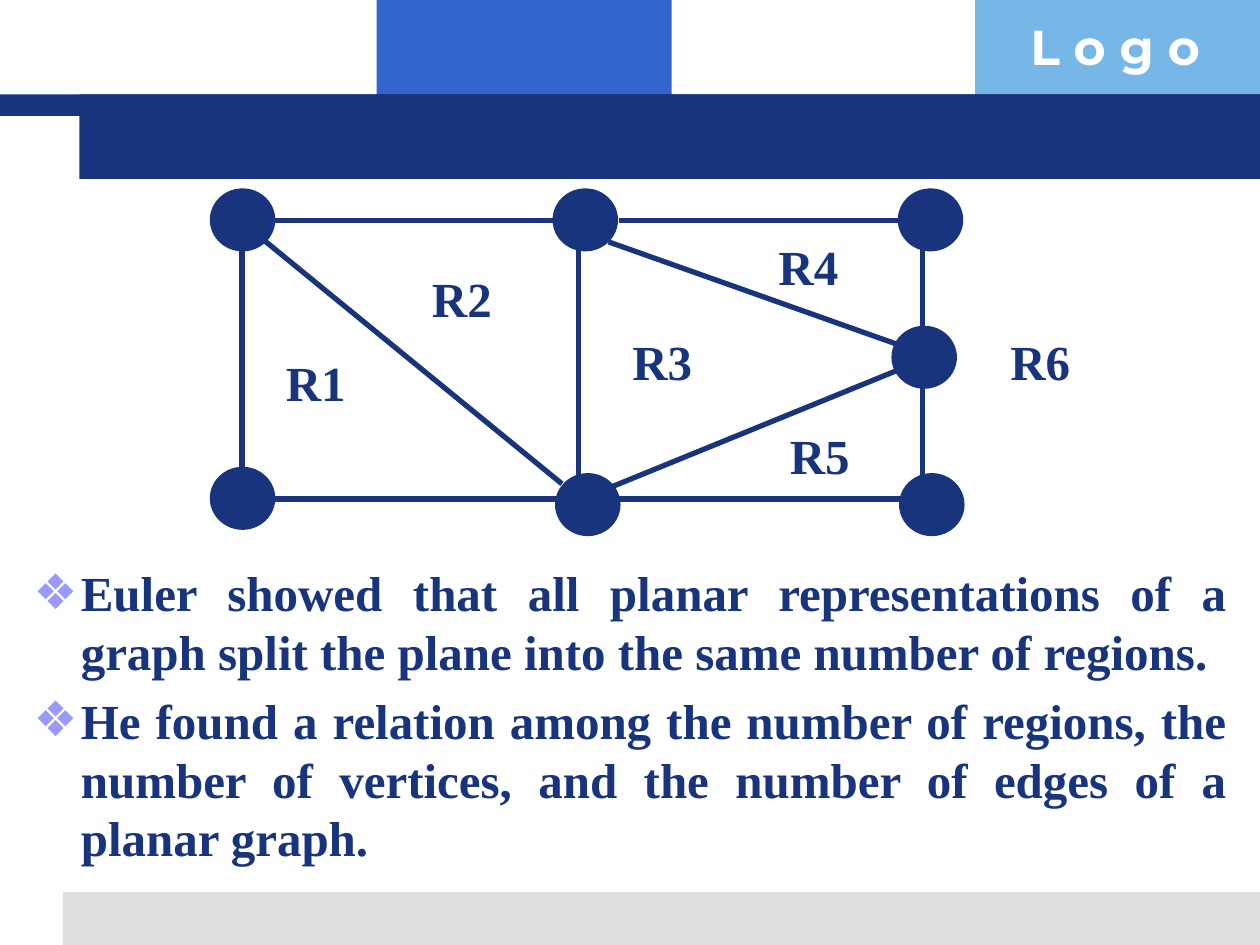
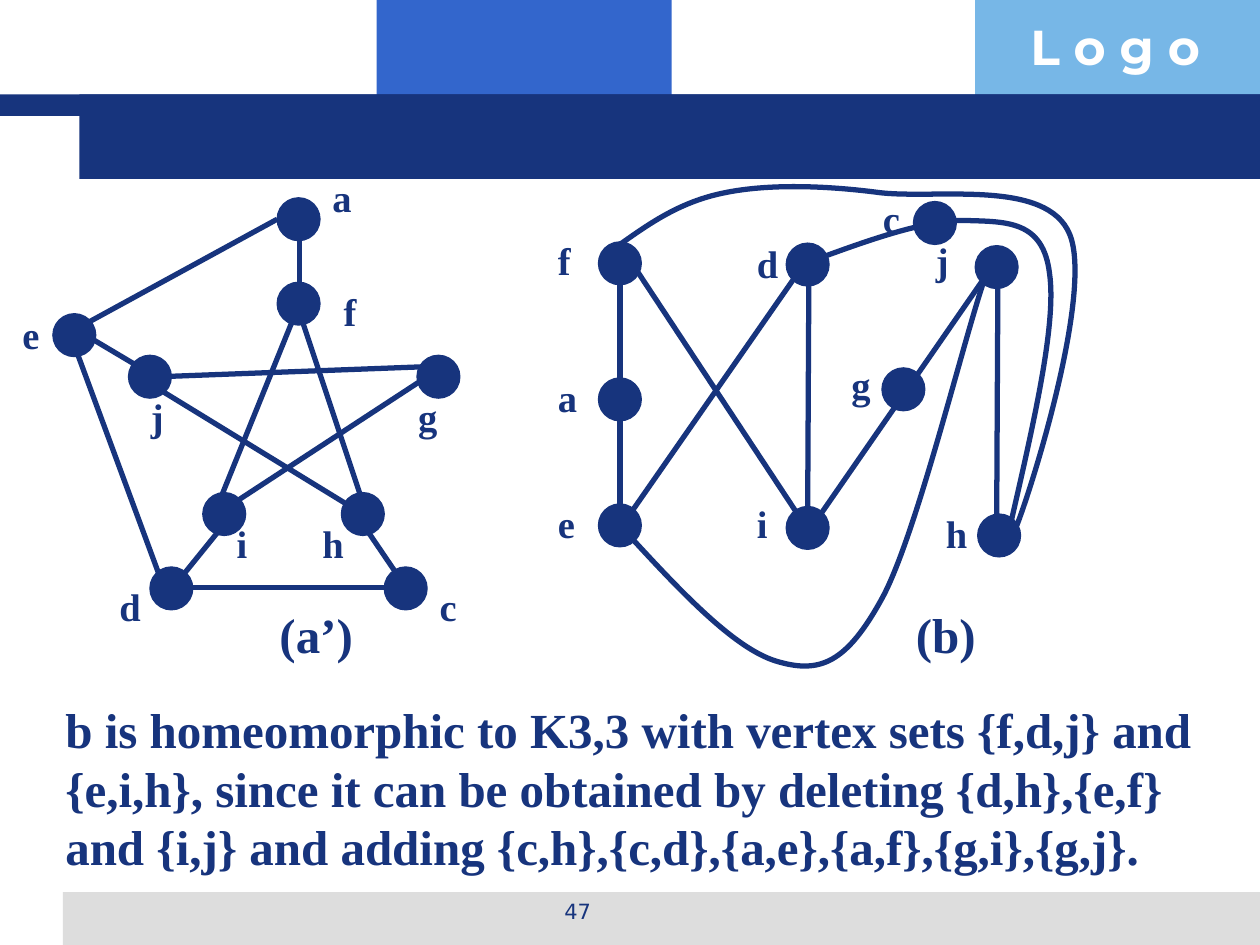
from lxml.etree import SubElement
from pptx import Presentation
from pptx.dml.color import RGBColor
from pptx.enum.shapes import MSO_CONNECTOR as Link, MSO_SHAPE as Preset
from pptx.enum.text import MSO_AUTO_SIZE as Fit, PP_ALIGN as Align
from pptx.oxml.ns import qn
from pptx.util import Pt

PX = 9144
COLORS = {"navy": "17347D", "blue": "3366CC", "sky": "77B7E7",
          "grey": "DDDDDD", "white": "FFFFFF", "bullet": "9999FF"}
SERIF = "Times New Roman"
FORMATS = {
    "text": {"name": SERIF, "size": Pt(28), "bold": True},
    "vertex": {"name": SERIF, "size": Pt(22), "bold": True},
    "logo": {"name": "Montserrat", "size": Pt(28), "bold": True},
    "number": {"name": "DejaVu Sans", "size": Pt(12), "bold": False},
}
BANDS = [
    ("blue", 299, 0, 234, 92), ("sky", 774, 0, 226, 92),
    ("grey", 50, 708, 950, 42),
    ("navy", 0, 75, 1000, 17), ("navy", 63, 75, 937, 67),
]

EULER_POINTS = [
    "Euler showed that all planar representations of a graph split the plane "
    "into the same number of regions.",
    "He found a relation among the number of regions, the number of vertices, "
    "and the number of edges of a planar graph.",
]
EULER_BOX = (16.67, 441.67, 966.67, 275)
EULER_INDENT = 37.5
REGION_GRAPH = {
    "node_size": (51, 49),
    "nodes": [(167, 150), (167, 371), (439, 150), (441, 376),
              (713, 150), (714, 376), (708, 259)],
    "edges": [
        (205, 187, 446, 384), (218, 175, 446, 175), (218, 396, 446, 396),
        (192, 199, 192, 371), (459, 187, 459, 384), (491, 175, 720, 175),
        (491, 396, 720, 396), (732, 187, 732, 384), (483, 192, 717, 275),
        (484, 387, 717, 292),
    ],
    "curves": [],
    "label_style": ("text", 99, 57),
    "labels": [("R1", 217, 275), ("R2", 333, 208), ("R3", 492, 258),
               ("R4", 608, 183), ("R5", 617, 333), ("R6", 792, 258)],
}

PETERSEN_GRAPH = {
    "node_size": (34, 34),
    "nodes": [(42, 249), (102, 282), (220, 224), (119, 450), (220, 157),
              (271, 391), (305, 450), (331, 282), (161, 391)],
    "edges": [
        (170, 408, 238, 240), (59, 274, 127, 458), (144, 466, 314, 466),
        (127, 299, 339, 291), (186, 399, 339, 299), (288, 408, 110, 299),
        (68, 257, 220, 174), (288, 399, 238, 249), (238, 232, 238, 182),
        (144, 458, 178, 416), (322, 466, 288, 416), (110, 291, 68, 266),
    ],
    "curves": [],
    "label_style": ("vertex", 43, 47),
    "labels": [("a", 254, 133), ("e", 8, 242), ("i", 178, 408),
               ("g", 322, 307), ("c", 339, 458), ("h", 246, 408),
               ("j", 110, 307), ("f", 263, 224), ("d", 85, 458)],
}
BIPARTITE_GRAPH = {
    "node_size": (34, 34),
    "nodes": [(475, 300), (475, 192), (475, 400), (624, 193), (624, 402),
              (774, 195), (776, 408), (725, 160), (700, 292)],
    "edges": [
        (492, 300, 492, 217), (492, 408, 492, 325), (641, 410, 642, 217),
        (633, 408, 501, 208), (500, 408, 633, 217), (650, 410, 783, 218),
        (791, 418, 792, 225),
    ],
    "curves": [
        [(492, 194), (516, 177), (540, 160), (575, 153), (609, 146),
         (654, 147), (699, 153), (745, 158), (831, 142), (849, 186),
         (867, 230), (822, 378), (807, 417)],
        [(492, 417), (537, 466), (582, 515), (617, 525), (651, 535),
         (672, 526), (700, 475), (728, 424), (767, 260), (783, 217)],
        [(642, 208), (688, 191), (735, 174), (767, 175), (799, 176),
         (828, 175), (833, 217), (839, 258), (819, 342), (800, 425)],
    ],
    "label_style": ("vertex", 43, 47),
    "labels": [("a", 433, 292), ("f", 433, 183), ("e", 433, 392),
               ("i", 591, 392), ("d", 591, 186), ("j", 733, 183),
               ("h", 741, 400), ("c", 691, 150), ("g", 666, 282)],
}
CAPTIONS = [("(a’)", 212, 475), ("(b)", 717, 475)]
PROOF = ("b is homeomorphic to K3,3 with vertex sets {f,d,j} and {e,i,h}, since "
         "it can be obtained by deleting {d,h},{e,f} and {i,j} and adding "
         "{c,h},{c,d},{a,e},{a,f},{g,i},{g,j}.")


def emu(*lengths):
    return [round(length * PX) for length in lengths]


def color(name):
    return RGBColor.from_string(COLORS[name])


def write(para, text, style, ink="navy"):
    span = para.add_run()
    span.text = text
    for key, value in FORMATS[style].items():
        setattr(span.font, key, value)
    span.font.color.rgb = color(ink)


def add_text(page, text, place, style="text", ink="navy", align=Align.LEFT):
    frame = page.shapes.add_textbox(*emu(*place)).text_frame
    for key, value in {"word_wrap": True, "auto_size": Fit.SHAPE_TO_FIT_TEXT}.items():
        setattr(frame, key, value)
    para = frame.paragraphs[0]
    para.alignment = align
    write(para, text, style, ink)


def add_solid(page, preset, place, ink, outline=None):
    shape = page.shapes.add_shape(preset, *emu(*place))
    shape.shadow.inherit = False
    shape.fill.solid()
    shape.fill.fore_color.rgb = color(ink)
    if outline:
        shape.line.color.rgb = color(ink)
        shape.line.width = Pt(outline)
    else:
        shape.line.fill.background()


def set_stroke(line):
    line.color.rgb = color("navy")
    line.width = Pt(3)


def add_edge(page, ends):
    edge = page.shapes.add_connector(Link.STRAIGHT, *emu(*ends))
    set_stroke(edge.line)
    SubElement(edge.element.spPr, qn("a:effectLst"))


def add_curve(page, controls):
    builder = page.shapes.build_freeform(*emu(*controls[0]))
    builder.add_line_segments([emu(*point) for point in controls[1:]], close=False)
    curve = builder.convert_to_shape()
    outline = curve.element.xpath(".//a:path")[0]
    segments = outline.findall(qn("a:lnTo"))
    for first in range(0, len(segments), 3):
        bend = SubElement(outline, qn("a:cubicBezTo"))
        for segment in segments[first:first + 3]:
            bend.append(segment[0])
            outline.remove(segment)
    curve.shadow.inherit = False
    curve.fill.background()
    set_stroke(curve.line)


def add_graph(page, graph):
    for ends in graph["edges"]:
        add_edge(page, ends)
    for controls in graph["curves"]:
        add_curve(page, controls)
    for corner in graph["nodes"]:
        add_solid(page, Preset.OVAL, (*corner, *graph["node_size"]), "navy", 0.75)
    style, width, height = graph["label_style"]
    for text, left, top in graph["labels"]:
        add_text(page, text, (left, top, width, height), style)


def add_bullets(box, items):
    for key, value in zip(("left", "top", "width", "height"), emu(*EULER_BOX)):
        setattr(box, key, value)
    frame = box.text_frame
    frame.auto_size = Fit.NONE
    indent = emu(EULER_INDENT)[0]
    for index, item in enumerate(items):
        para = frame.add_paragraph() if index else frame.paragraphs[0]
        props = para._p.get_or_add_pPr()
        props.set("marL", str(indent))
        props.set("indent", str(-indent))
        tint = SubElement(props, qn("a:buClr"))
        SubElement(tint, qn("a:srgbClr"), val=COLORS["bullet"])
        SubElement(props, qn("a:buChar"), char="❖")
        para.alignment = Align.JUSTIFY
        para.space_before = Pt(5.6 if index else 0)
        write(para, item, "text")


def dress_master(deck, page):
    for ink, *place in BANDS:
        add_solid(page, Preset.RECTANGLE, place, ink)
    add_text(page, "L o g o", (808, 8, 193, 57), "logo", "white")
    tree = deck.slide_master.shapes.element
    parts = [shape.element for shape in page.shapes if not shape.is_placeholder]
    for number, part in enumerate(parts, 101):
        part.xpath("./p:nvSpPr/p:cNvPr")[0].set("id", str(number))
        tree.insert_element_before(part, "p:extLst")


def main():
    deck = Presentation()
    deck.slide_width, deck.slide_height = emu(1000, 750)

    page = deck.slides.add_slide(deck.slide_layouts[1])
    dress_master(deck, page)
    title = page.shapes.title.element
    title.getparent().remove(title)
    add_bullets(page.placeholders[1], EULER_POINTS)
    add_graph(page, REGION_GRAPH)

    page = deck.slides.add_slide(deck.slide_layouts[6])
    for graph in (PETERSEN_GRAPH, BIPARTITE_GRAPH):
        add_graph(page, graph)
    for text, left, top in CAPTIONS:
        add_text(page, text, (left, top, 80, 57))
    add_text(page, PROOF, (42, 550, 942, 151))
    add_text(page, "47", (342, 708, 233, 35), "number", align=Align.CENTER)

    deck.save("out.pptx")


if __name__ == "__main__":
    main()
